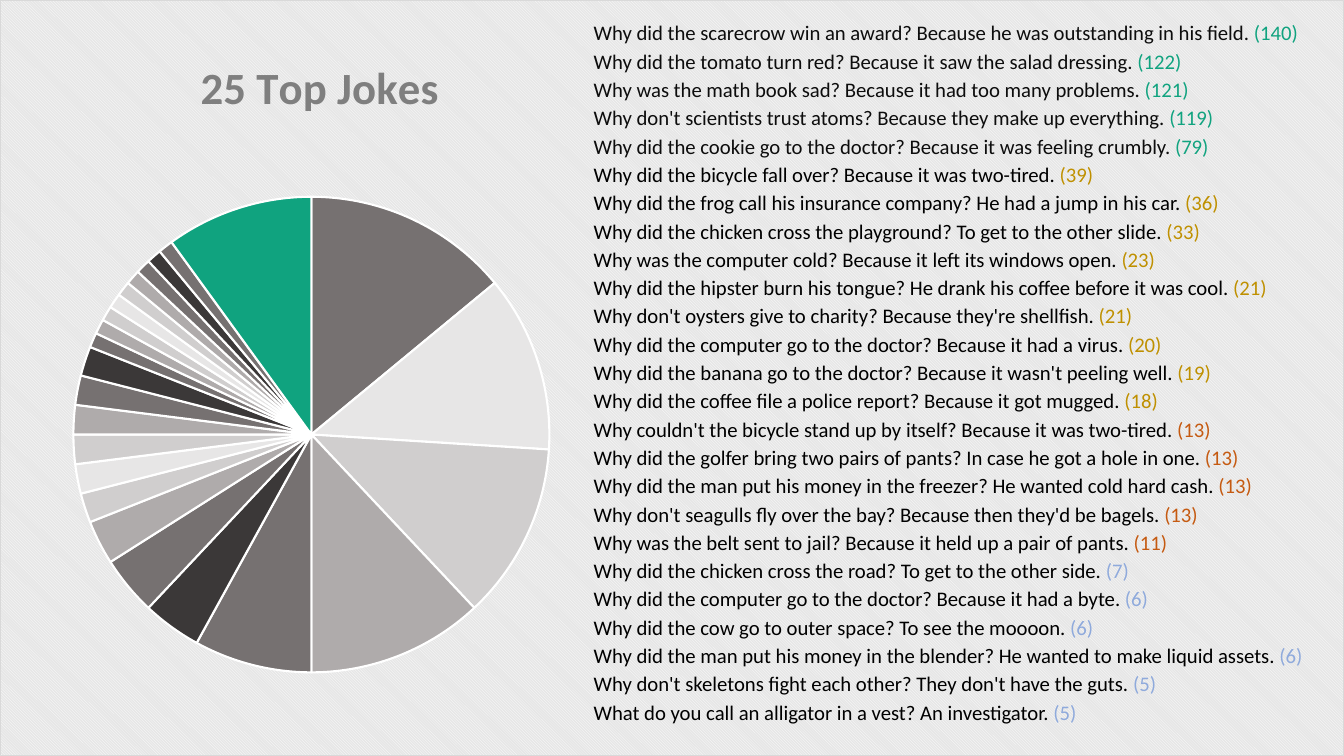
"""Build a slide with a pie of joke shares beside the list of the 25 top jokes."""
from lxml.etree import SubElement
from pptx import Presentation
from pptx.chart.data import CategoryChartData
from pptx.dml.color import RGBColor as RGB
from pptx.enum.chart import XL_CHART_TYPE as ChartType
from pptx.oxml import parse_xml
from pptx.oxml.ns import nsdecls, qn
from pptx.util import Inches, Pt

FONT = "Calibri"
BLACK, INK, WHITE = RGB(0, 0, 0), RGB(0x0D, 0x0D, 0x0D), RGB(0xFF, 0xFF, 0xFF)
TITLE_GREY = RGB(0x7F, 0x7F, 0x7F)
GREEN, GOLD = RGB(0x10, 0xA3, 0x7F), RGB(0xBF, 0x90, 0x00)
RUST, BLUE = RGB(0xC5, 0x5A, 0x11), RGB(0x8F, 0xAA, 0xDC)
STONE, PEARL = RGB(0x76, 0x71, 0x71), RGB(0xE7, 0xE6, 0xE6)
SILVER, ASH = RGB(0xD0, 0xCE, 0xCE), RGB(0xAF, 0xAB, 0xAB)
COAL = RGB(0x3B, 0x38, 0x38)
GREY_CYCLE = [PEARL, SILVER, ASH, STONE, COAL, STONE, ASH, SILVER]
OTHER_SHARE = 10

TIERS = [
    (INK, GREEN, [
        ("Why did the scarecrow win an award? Because he was outstanding in his field.", 140),
        ("Why did the tomato turn red? Because it saw the salad dressing.", 122),
        ("Why was the math book sad? Because it had too many problems.", 121),
        ("Why don't scientists trust atoms? Because they make up everything.", 119),
        ("Why did the cookie go to the doctor? Because it was feeling crumbly.", 79),
    ]),
    (BLACK, GOLD, [
        ("Why did the bicycle fall over? Because it was two-tired.", 39),
        ("Why did the frog call his insurance company? He had a jump in his car.", 36),
        ("Why did the chicken cross the playground? To get to the other slide.", 33),
        ("Why was the computer cold? Because it left its windows open.", 23),
        ("Why did the hipster burn his tongue? He drank his coffee before it was cool.", 21),
        ("Why don't oysters give to charity? Because they're shellfish.", 21),
        ("Why did the computer go to the doctor? Because it had a virus.", 20),
        ("Why did the banana go to the doctor? Because it wasn't peeling well.", 19),
        ("Why did the coffee file a police report? Because it got mugged.", 18),
    ]),
    (BLACK, RUST, [
        ("Why couldn't the bicycle stand up by itself? Because it was two-tired.", 13),
        ("Why did the golfer bring two pairs of pants? In case he got a hole in one.", 13),
        ("Why did the man put his money in the freezer? He wanted cold hard cash.", 13),
        ("Why don't seagulls fly over the bay? Because then they'd be bagels.", 13),
        ("Why was the belt sent to jail? Because it held up a pair of pants.", 11),
    ]),
    (BLACK, BLUE, [
        ("Why did the chicken cross the road? To get to the other side.", 7),
        ("Why did the computer go to the doctor? Because it had a byte.", 6),
        ("Why did the cow go to outer space? To see the moooon.", 6),
        ("Why did the man put his money in the blender? He wanted to make liquid assets.", 6),
        ("Why don't skeletons fight each other? They don't have the guts.", 5),
        ("What do you call an alligator in a vest? An investigator.", 5),
    ]),
]


def place(part, index, **settings):
    """Give a chart part a manual layout in shares of the chart."""
    for old in part.findall(qn("c:layout")):
        part.remove(old)
    layout = parse_xml(f"<c:layout {nsdecls('c')}><c:manualLayout/></c:layout>")
    for tag, value in settings.items():
        SubElement(layout[0], qn(f"c:{tag}")).set("val", str(value))
    part.insert(index, layout)


prs = Presentation()
prs.slide_width, prs.slide_height = Inches(13.33), Inches(7.5)
slide = prs.slides.add_slide(prs.slide_layouts[6])

shares = [round(count / 10) for _, _, jokes in TIERS for _, count in jokes] + [OTHER_SHARE]
joke_data = CategoryChartData()
joke_data.categories = [str(rank) for rank in range(1, len(shares) + 1)]
joke_data.add_series("Series 1", shares)
pie = slide.shapes.add_chart(
    ChartType.PIE, 0, 0, prs.slide_width, prs.slide_height, joke_data).chart
pie.has_legend = False
pie.font.name, pie.font.size, pie.font.color.rgb = FONT, Pt(10), BLACK

pie.has_title = True
heading = pie.chart_title.text_frame.paragraphs[0]
heading.text = "25 Top Jokes"
heading.font.name, heading.font.size, heading.font.bold = FONT, Pt(32), True
heading.font.color.rgb = TITLE_GREY

chart_xml = pie._chartSpace.chart
place(chart_xml.find(qn("c:title")), 1, xMode="edge", yMode="edge", x=0.143, y=0.063)
place(chart_xml.plotArea, 0, layoutTarget="inner", xMode="edge", yMode="edge",
      x=0.054, y=0.26, w=0.355, h=0.63)
chart_xml.addnext(parse_xml(
    f'<c:spPr {nsdecls("c", "a")}><a:pattFill prst="dkDnDiag">'
    '<a:fgClr><a:srgbClr val="FFFFFF"/></a:fgClr>'
    '<a:bgClr><a:srgbClr val="E6E6E6"/></a:bgClr></a:pattFill>'
    '<a:ln w="9525"><a:solidFill><a:srgbClr val="D9D9D9"/></a:solidFill></a:ln></c:spPr>'))

pie.plots[0].vary_by_categories = True
greys = [STONE] + [GREY_CYCLE[i % len(GREY_CYCLE)] for i in range(len(shares) - 2)]
for index, color in enumerate(greys + [GREEN]):
    slice_format = pie.plots[0].series[0].points[index].format
    slice_format.fill.solid()
    slice_format.fill.fore_color.rgb = color
    slice_format.line.color.rgb = WHITE
    slice_format.line.width = Pt(1.5)

joke_list = slide.shapes.add_textbox(
    Inches(5.79), Inches(0.2), Inches(7.54), Inches(7.3)).text_frame
joke_list.word_wrap = True
line = joke_list.paragraphs[0]
for joke_color, count_color, jokes in TIERS:
    for joke, count in jokes:
        if line.runs:
            line = joke_list.add_paragraph()
            line.space_before = Pt(6)
        line.line_spacing = 0.8
        line.font.name, line.font.size = FONT, Pt(14.8)
        for words, color in ((f"{joke} ", joke_color), (f"({count})", count_color)):
            run = line.add_run()
            run.text = words
            run.font.color.rgb = color

prs.save("out.pptx")
